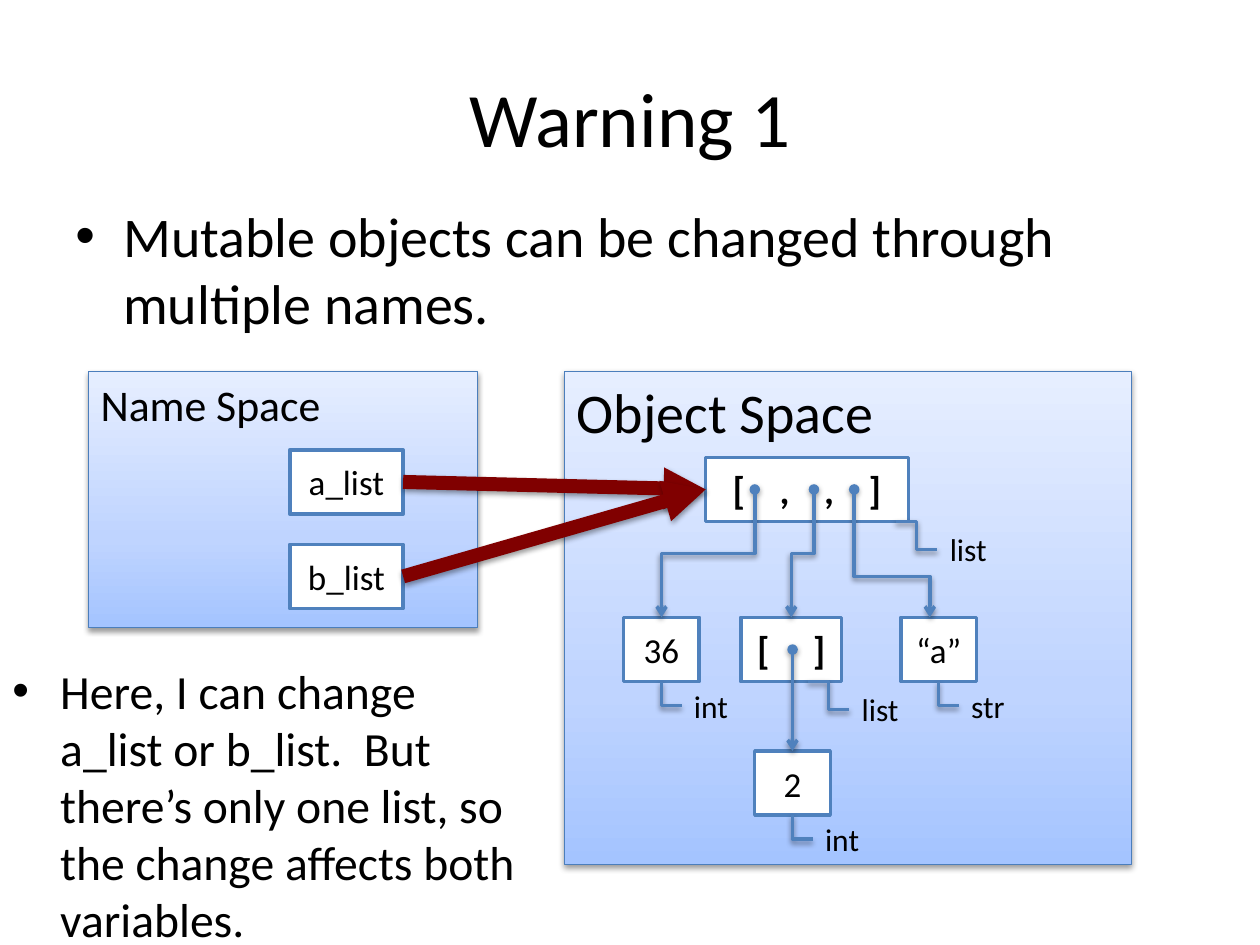
import dataclasses
import pptx
import pptx.dml.color
import pptx.enum.shapes
import pptx.enum.text
import pptx.oxml
import pptx.oxml.ns
import pptx.util
from pptx.util import Inches


@dataclasses.dataclass(frozen=True)
class Theme:
    font: str = "Calibri"
    text: str = "000000"
    box: str = "FFFFFF"
    outline: str = "4F81BD"
    panel_outline: str = "4B7EBC"
    arrow: str = "800000"
    gradient: tuple = ((0, "A4C4FF"), (35, "BFD4FF"), (100, "E6EEFF"))
    title: float = 44
    body: float = 32
    note: float = 27.2
    panel: float = 25
    brackets: float = 22
    value: float = 20
    label: float = 18


@dataclasses.dataclass(frozen=True)
class Box:
    left: float
    top: float
    width: float
    height: float

    @property
    def right(self):
        return self.left + self.width

    @property
    def bottom(self):
        return self.top + self.height

    @property
    def center(self):
        return self.left + self.width / 2

    @property
    def middle(self):
        return self.top + self.height / 2

    def inside(self, left, top, width, height):
        return Box(self.left + left, self.top + top, width, height)

    def lengths(self):
        return [Inches(value) for value in (self.left, self.top, self.width, self.height)]


THEME = Theme()
ALIGN = pptx.enum.text.PP_ALIGN
ANCHOR = pptx.enum.text.MSO_ANCHOR
RECTANGLE = pptx.enum.shapes.MSO_SHAPE.RECTANGLE
CONNECTOR = pptx.enum.shapes.MSO_CONNECTOR
NAMESPACE = pptx.oxml.ns.nsdecls("a")
SHADOW = (f'<a:effectLst {NAMESPACE}><a:outerShdw blurRad="39370" dist="20320" dir="5400000" '
          'rotWithShape="0"><a:srgbClr val="000000"><a:alpha val="38000"/></a:srgbClr>'
          '</a:outerShdw></a:effectLst>')


def color(value):
    return pptx.dml.color.RGBColor.from_string(value)


def write(shape, text, size, align=ALIGN.LEFT, anchor=ANCHOR.TOP, bold=False, wrap=True):
    frame = shape.text_frame
    frame.text = text
    frame.word_wrap = wrap
    frame.vertical_anchor = anchor
    paragraph = frame.paragraphs[0]
    paragraph.alignment = align
    font = paragraph.runs[0].font
    font.name, font.size, font.bold = THEME.font, pptx.util.Pt(size), bold
    font.color.rgb = color(THEME.text)
    return paragraph


def add_text(slide, box, text, size, **options):
    return write(slide.shapes.add_textbox(*box.lengths()), text, size, **options)


def add_bullet(slide, box, text, size):
    properties = add_text(slide, box, text, size)._p.get_or_add_pPr()
    properties.set("marL", str(Inches(0.38)))
    properties.set("indent", str(Inches(-0.38)))
    properties.append(pptx.oxml.parse_xml(f'<a:buFont {NAMESPACE} typeface="Arial"/>'))
    properties.append(pptx.oxml.parse_xml(f'<a:buChar {NAMESPACE} char="\u2022"/>'))


def add_panel(slide, box, text, size):
    shape = slide.shapes.add_shape(RECTANGLE, *box.lengths())
    stops = "".join(f'<a:gs pos="{position * 1000}"><a:srgbClr val="{value}"/></a:gs>'
                    for position, value in THEME.gradient)
    shape.fill.background()
    properties = shape._element.spPr
    properties.replace(properties.find(pptx.oxml.ns.qn("a:noFill")), pptx.oxml.parse_xml(
        f'<a:gradFill {NAMESPACE} rotWithShape="1"><a:gsLst>{stops}</a:gsLst>'
        '<a:lin ang="16200000" scaled="0"/></a:gradFill>'))
    shape.line.color.rgb = color(THEME.panel_outline)
    shape.line.width = pptx.util.Pt(0.75)
    properties.append(pptx.oxml.parse_xml(SHADOW))
    write(shape, text, size)


def add_box(slide, box, text, size=THEME.value, bold=False):
    shape = slide.shapes.add_shape(RECTANGLE, *box.lengths())
    shape.shadow.inherit = False
    shape.fill.solid()
    shape.fill.fore_color.rgb = color(THEME.box)
    shape.line.color.rgb = color(THEME.outline)
    shape.line.width = pptx.util.Pt(2)
    write(shape, text, size, ALIGN.CENTER, ANCHOR.MIDDLE, bold)
    return box


def add_line(slide, kind, start, end, line_color=THEME.outline, width=2, head=None, tail=None):
    connector = slide.shapes.add_connector(kind, *map(Inches, (*start, *end)))
    connector.line.color.rgb = color(line_color)
    connector.line.width = pptx.util.Pt(width)
    line = connector.line._get_or_add_ln()
    for tag, arrowhead in (("headEnd", head), ("tailEnd", tail)):
        if arrowhead:
            line.append(pptx.oxml.parse_xml(f'<a:{tag} {NAMESPACE} type="{arrowhead}"/>'))
    connector._element.spPr.append(pptx.oxml.parse_xml(SHADOW))
    return connector


def add_drop(slide, start, end, preset="bentConnector3", bend=0.5, **ends):
    across, down = end[0] - start[0], end[1] - start[1]
    center, middle = (start[0] + end[0]) / 2, (start[1] + end[1]) / 2
    left, top = center - down / 2, middle - abs(across) / 2
    connector = add_line(slide, CONNECTOR.ELBOW, (left, top),
                         (left + down, top + abs(across)), **ends)
    transform = connector._element.spPr.find(pptx.oxml.ns.qn("a:xfrm"))
    transform.set("rot", "16200000" if across > 0 else "5400000")
    if across > 0:
        transform.set("flipH", "1")
    geometry = connector._element.spPr.find(pptx.oxml.ns.qn("a:prstGeom"))
    geometry.set("prst", preset)
    if bend != 0.5:
        geometry.get_or_add_avLst().append(pptx.oxml.parse_xml(
            f'<a:gd {NAMESPACE} name="adj1" fmla="val {round(bend * 100000)}"/>'))


def add_type(slide, box, name, inset=None):
    if inset is None:
        end = (box.center + 0.16, box.bottom + 0.19)
        add_drop(slide, (box.center, box.bottom), end, "bentConnector2")
    else:
        start = (box.right - inset, box.bottom)
        end = (start[0] + 0.33, box.bottom + 0.22)
        add_line(slide, CONNECTOR.ELBOW, start, end)
    add_text(slide, Box(end[0], end[1] - 0.2, 0.5, 0.4), name, THEME.label, wrap=False)


def add_name_space(slide, area):
    add_panel(slide, area, "Name Space", THEME.panel)
    return [add_box(slide, area.inside(1.6, 0.62 + 0.75 * row, 0.9, 0.51), name)
            for row, name in enumerate(("a_list", "b_list"))]


def add_object_space(slide, area):
    add_panel(slide, area, "Object Space", THEME.body)
    outer = add_box(slide, area.inside(1.12, 0.68, 1.61, 0.51), "[    ,    ,    ]",
                    THEME.brackets, True)
    number = add_box(slide, area.inside(0.47, 1.95, 0.6, 0.51), "36")
    inner = add_box(slide, area.inside(1.4, 1.95, 0.8, 0.51), "[     ]", THEME.brackets, True)
    string = add_box(slide, area.inside(2.67, 1.95, 0.6, 0.51), "\u201ca\u201d")
    nested = add_box(slide, area.inside(1.51, 3.01, 0.6, 0.51), "2")
    for box, name, inset in ((outer, "list", 0.1), (number, "int", None), (inner, "list", 0.27),
                             (string, "str", None), (nested, "int", None)):
        add_type(slide, box, name, inset)
    for source, offset, target, shift, bend in (
            (outer, 0.39, number, 0, 0.5), (outer, 0.86, inner, 0, 0.5),
            (outer, 1.18, string, -0.07, 0.68), (inner, 0.41, nested, 0, 0.5)):
        add_drop(slide, (source.left + offset, source.middle),
                 (target.center + shift, target.top), bend=bend, head="oval", tail="arrow")
    return outer


def build_slide(slide, page):
    add_text(slide, page.inside(0.5, 0.3, 9, 1.25), "Warning 1", THEME.title,
             align=ALIGN.CENTER, anchor=ANCHOR.MIDDLE)
    add_bullet(slide, page.inside(0.5, 1.55, 9, 1.4),
               "Mutable objects can be changed through multiple names.", THEME.body)
    names = add_name_space(slide, page.inside(0.7, 2.95, 3.09, 2.03))
    target = add_object_space(slide, page.inside(4.48, 2.95, 4.5, 3.91))
    for name in names:
        add_line(slide, CONNECTOR.STRAIGHT, (name.right, name.middle),
                 (target.left, target.middle), THEME.arrow, 8, tail="triangle")
    add_bullet(slide, page.inside(0, 5.2, 4.2, 2.01),
               "Here, I can change a_list or b_list.  But there\u2019s only one list, "
               "so the change affects both variables.", THEME.note)


presentation = pptx.Presentation()
presentation.slide_width, presentation.slide_height = Inches(10), Inches(7.5)
build_slide(presentation.slides.add_slide(presentation.slide_layouts[6]), Box(0, 0, 10, 7.5))
presentation.save("out.pptx")
